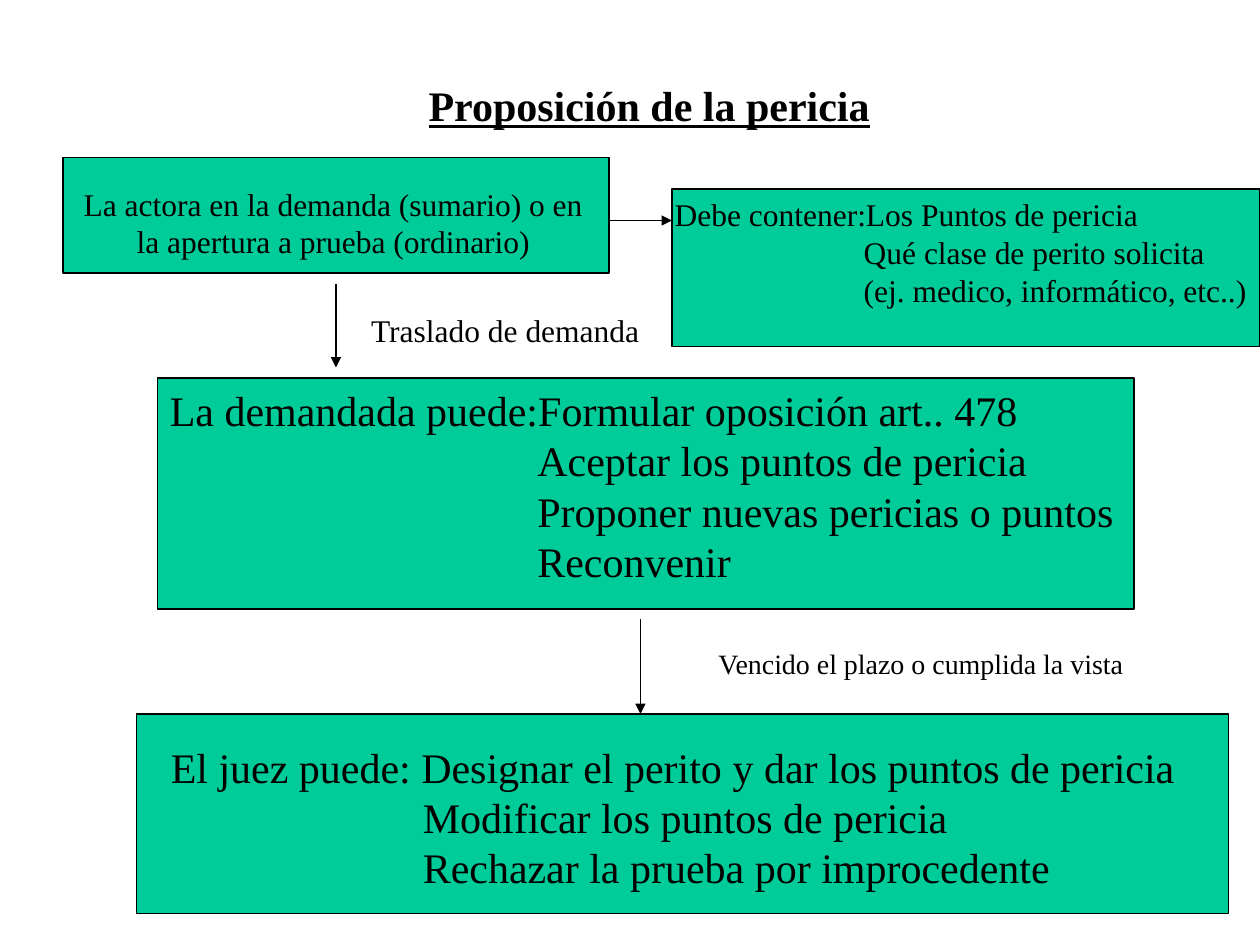
"""Build the slide on how expert evidence is proposed."""
from dataclasses import dataclass

from lxml.etree import SubElement
from pptx import Presentation
from pptx.dml.color import RGBColor
from pptx.enum.shapes import MSO_CONNECTOR, MSO_SHAPE
from pptx.enum.text import MSO_ANCHOR, PP_ALIGN
from pptx.oxml.ns import qn
from pptx.slide import Slide
from pptx.util import Pt


@dataclass(frozen=True)
class Theme:
    ink: RGBColor = RGBColor(0x00, 0x00, 0x00)
    panel: RGBColor = RGBColor(0x00, 0xCC, 0x99)
    font: str = "Times New Roman"
    large: float = 24
    medium: float = 18
    small: float = 16
    line_width: float = 0.75


@dataclass(frozen=True)
class Area:
    left: float
    top: float
    width: float
    height: float


@dataclass(frozen=True)
class Label:
    area: Area
    lines: tuple[str, ...]
    size: float
    centered: bool = False
    wrap: bool = True
    heading: bool = False
    option_indent: float = 0


@dataclass(frozen=True)
class Arrow:
    start: tuple[float, float]
    end: tuple[float, float]


THEME = Theme()

PANELS = (
    Area(384, 108, 336, 90),
    Area(78, 408, 624, 114),
    Area(36, 90, 312, 66),
    Area(90, 216, 558, 132),
)

LABELS = (
    Label(Area(237.5, 42, 267, 36), ("Proposición de la pericia",),
          THEME.large, centered=True, wrap=False, heading=True),
    Label(Area(36, 102, 309, 50.5),
          ("La actora en la demanda (sumario) o en la apertura a prueba (ordinario)",),
          THEME.medium, centered=True),
    Label(Area(90, 216, 554, 151),
          ("La demandada puede:Formular oposición art.. 478",
           "Aceptar los puntos de pericia",
           "Proponer nuevas pericias o puntos",
           "Reconvenir"),
          THEME.large, option_indent=210),
    Label(Area(90.5, 420, 588, 94),
          ("El juez puede: Designar el perito y dar los puntos de pericia",
           "Modificar los puntos de pericia",
           "Rechazar la prueba por improcedente"),
          THEME.large, option_indent=144),
    Label(Area(204.5, 174, 168.5, 29), ("Traslado de demanda",),
          THEME.medium, centered=True, wrap=False),
    Label(Area(402.5, 366, 247.5, 26.5), ("Vencido el plazo o cumplida la vista",),
          THEME.small, centered=True, wrap=False),
    Label(Area(378.5, 108, 346, 72),
          ("Debe contener:Los Puntos de pericia",
           "Qué clase de perito solicita",
           "(ej. medico, informático, etc..)"),
          THEME.medium, option_indent=108),
)

ARROWS = (
    Arrow((192, 162), (192, 210)),
    Arrow((366, 354), (366, 408)),
    Arrow((348, 126), (384, 126)),
)


def add_panel(slide: Slide, area: Area) -> None:
    """Draw one filled rectangle."""
    shape = slide.shapes.add_shape(
        MSO_SHAPE.RECTANGLE, Pt(area.left), Pt(area.top), Pt(area.width), Pt(area.height))
    shape.shadow.inherit = False
    shape.fill.solid()
    shape.fill.fore_color.rgb = THEME.panel
    shape.line.color.rgb = THEME.ink
    shape.line.width = Pt(THEME.line_width)


def add_label(slide: Slide, label: Label) -> None:
    """Write a text box whose lines after the first share an indent."""
    area = label.area
    text_frame = slide.shapes.add_textbox(
        Pt(area.left), Pt(area.top), Pt(area.width), Pt(area.height)).text_frame
    text_frame.word_wrap = label.wrap
    text_frame.vertical_anchor = MSO_ANCHOR.TOP
    if not label.centered:
        text_frame.margin_right = Pt(0)
    text_frame.text = "\n".join(label.lines)
    for index, paragraph in enumerate(text_frame.paragraphs):
        paragraph.alignment = PP_ALIGN.CENTER if label.centered else PP_ALIGN.LEFT
        if index:
            paragraph._p.get_or_add_pPr().set("marL", str(Pt(label.option_indent)))
        for run in paragraph.runs:
            run.font.name = THEME.font
            run.font.size = Pt(label.size)
            run.font.color.rgb = THEME.ink
            run.font.bold = label.heading
            run.font.underline = label.heading


def add_arrow(slide: Slide, arrow: Arrow) -> None:
    """Draw a straight line with a triangular head at its end."""
    connector = slide.shapes.add_connector(
        MSO_CONNECTOR.STRAIGHT, *map(Pt, arrow.start + arrow.end))
    connector.line.color.rgb = THEME.ink
    connector.line.width = Pt(THEME.line_width)
    SubElement(connector.line._get_or_add_ln(), qn("a:tailEnd"), type="triangle")
    SubElement(connector._element.spPr, qn("a:effectLst"))


def main() -> None:
    """Assemble and save the presentation."""
    presentation = Presentation()
    presentation.slide_width, presentation.slide_height = Pt(720), Pt(540)
    slide = presentation.slides.add_slide(presentation.slide_layouts[6])
    for area in PANELS:
        add_panel(slide, area)
    for label in LABELS:
        add_label(slide, label)
    for arrow in ARROWS:
        add_arrow(slide, arrow)
    presentation.save("out.pptx")


if __name__ == "__main__":
    main()
